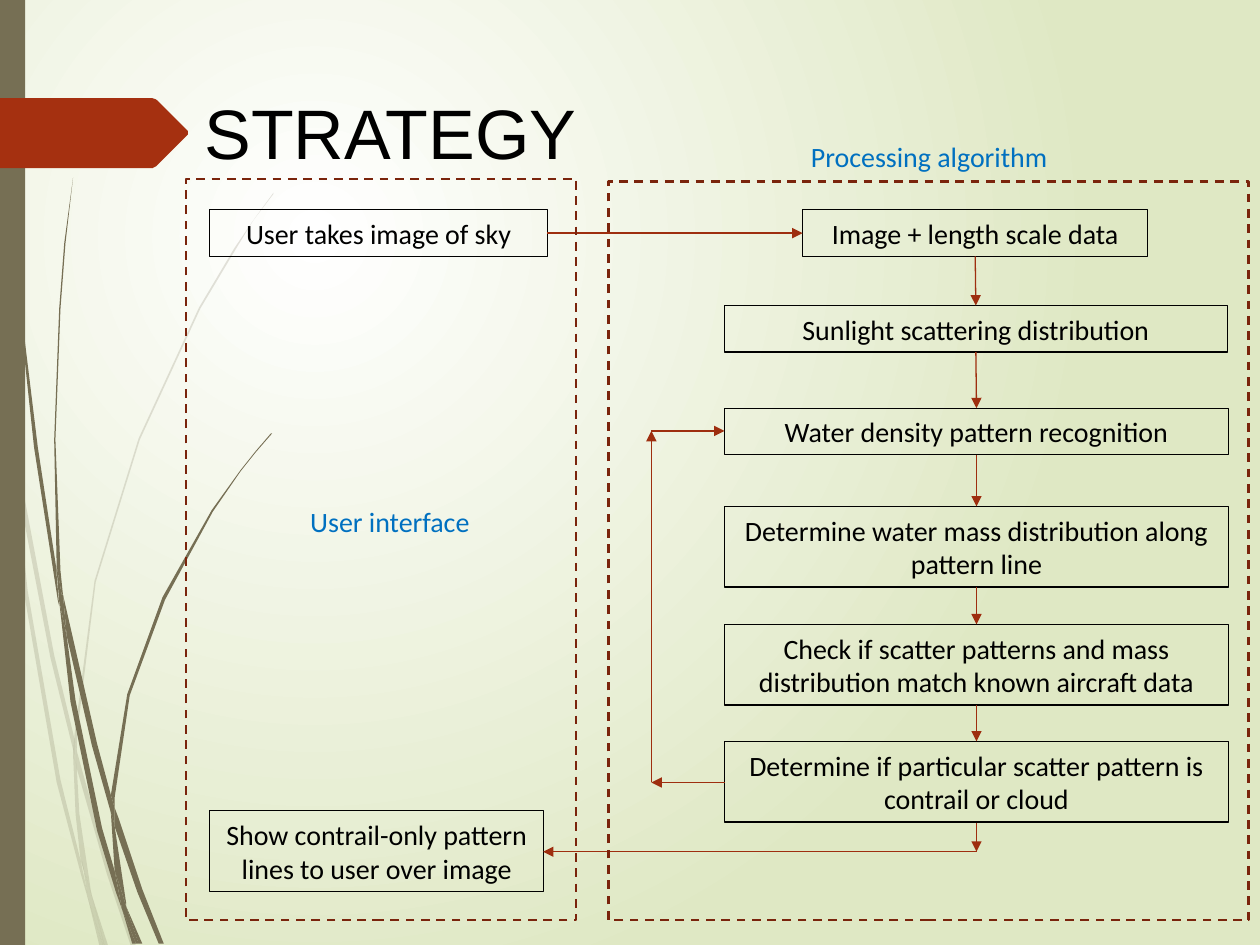
from itertools import pairwise

from lxml import etree
from pptx import Presentation
from pptx.dml.color import RGBColor
from pptx.enum.dml import MSO_LINE
from pptx.enum.shapes import MSO_CONNECTOR, MSO_SHAPE
from pptx.enum.text import MSO_ANCHOR, PP_ALIGN
from pptx.oxml import parse_xml
from pptx.oxml.ns import qn
from pptx.util import Inches, Pt

RECT, STRAIGHT, DASH = MSO_SHAPE.RECTANGLE, MSO_CONNECTOR.STRAIGHT, MSO_LINE.DASH
LEFT, CENTER = PP_ALIGN.LEFT, PP_ALIGN.CENTER
MIDDLE, BOTTOM = MSO_ANCHOR.MIDDLE, MSO_ANCHOR.BOTTOM
SITE_TOP, SITE_LEFT, SITE_BOTTOM, SITE_RIGHT = range(4)
COLUMNS, ROWS = 100, 75
BLACK, BLUE, OLIVE = "000000", "0070C0", "766F54"
RUST, ARROW_RED, FRAME_RED = "A53010", "9E2E0F", "7A240C"

BACKDROP = """<p:bg
 xmlns:p="http://schemas.openxmlformats.org/presentationml/2006/main"
 xmlns:a="http://schemas.openxmlformats.org/drawingml/2006/main">
<p:bgPr><a:gradFill rotWithShape="1"><a:gsLst>
<a:gs pos="0"><a:srgbClr val="FFFFFF"/></a:gs>
<a:gs pos="100000"><a:srgbClr val="DFE8C4"/></a:gs></a:gsLst>
<a:path path="circle">
<a:fillToRect l="50000" t="50000" r="100000" b="100000"/>
</a:path></a:gradFill><a:effectLst/></p:bgPr></p:bg>"""


def color(value):
    return RGBColor.from_string(value)


def write(frame, words, size=16, font="Calibri", ink=BLACK, align=CENTER, anchor=MIDDLE):
    frame.word_wrap = True
    frame.vertical_anchor = anchor
    paragraph = frame.paragraphs[0]
    paragraph.alignment = align
    run = paragraph.add_run()
    run.text = words
    run.font.size, run.font.name = Pt(size), font
    run.font.color.rgb = color(ink)


class Board:
    def __init__(self, deck):
        self.slide = deck.slides.add_slide(deck.slide_layouts[6])
        self.shapes = self.slide.shapes
        self.column = deck.slide_width / COLUMNS
        self.row = deck.slide_height / ROWS
        self.slide.element.cSld.insert(0, parse_xml(BACKDROP))

    def place(self, x, y):
        return round(x * self.column), round(y * self.row)

    def finish(self, shape, fill=None, line=None, weight=0.75, dash=None):
        shape.shadow.inherit = False
        if fill:
            shape.fill.solid()
            shape.fill.fore_color.rgb = color(fill)
        else:
            shape.fill.background()
        if line:
            shape.line.color.rgb = color(line)
            shape.line.width = Pt(weight)
            if dash:
                shape.line.dash_style = dash
        else:
            shape.line.fill.background()
        return shape

    def block(self, x, y, w, h, **look):
        shape = self.shapes.add_shape(RECT, *self.place(x, y), *self.place(w, h))
        return self.finish(shape, **look)

    def box(self, words, x, y, w, h):
        shape = self.block(x, y, w, h, line=BLACK)
        write(shape.text_frame, words)
        return shape

    def label(self, words, x, y, w, h, **style):
        holder = self.shapes.add_textbox(*self.place(x, y), *self.place(w, h))
        write(holder.text_frame, words, **style)

    def outline(self, corners, fill, opacity=100, parent=None):
        first, *rest = [self.place(*corner) for corner in corners]
        builder = (parent or self.shapes).build_freeform(*first)
        builder.add_line_segments(rest, close=True)
        shape = self.finish(builder.convert_to_shape(), fill=fill)
        if opacity < 100:
            tint = shape.element.spPr.find(qn("a:solidFill"))[0]
            etree.SubElement(tint, qn("a:alpha"), val=str(opacity * 1000))

    def plant(self, blades, opacity):
        tuft = self.shapes.add_group_shape().shapes
        for blade in blades:
            self.outline(blade, OLIVE, opacity, tuft)

    def arrow(self, start=(0, 0), end=(0, 0)):
        line = self.shapes.add_connector(STRAIGHT, *self.place(*start), *self.place(*end))
        line.line.color.rgb = color(ARROW_RED)
        line.line.width = Pt(0.75)
        stroke = line.element.spPr.find(qn("a:ln"))
        etree.SubElement(stroke, qn("a:tailEnd"), type="triangle")
        etree.SubElement(line.element.spPr, qn("a:effectLst"))
        return line

    def link(self, source, source_site, target, target_site):
        line = self.arrow()
        line.begin_connect(source, source_site)
        line.end_connect(target, target_site)


FAINT_BLADES = [
    [(0.8, 35), (0.6, 32.2), (0, 28.2), (0, 29.9), (0.7, 34.4)],
    [(4, 52.2), (5.9, 59.9), (5.9, 58.6), (4.3, 52), (1, 34.5), (1.2, 37.6)],
    [(6.4, 60.7), (6.1, 59.6), (6.1, 61), (8.5, 69.4), (10.4, 75.1), (10.8, 75.1), (8.8, 69.2)],
    [(8.3, 75.1), (8.6, 75.1), (7.3, 71.1)],
    [(6.4, 68.3), (4.8, 61.9), (2.2, 46.9), (1.2, 37.6), (0.8, 35), (1.9, 47), (4.5, 62.1),
     (6.4, 69.3), (7, 71.4), (6.9, 70.7)],
    [(5.8, 59.9), (6, 64.6), (6.4, 68.3), (6.7, 69.2), (7.3, 71.1), (7.2, 70.6), (6.3, 64.6),
     (6.1, 61), (6.1, 60.8)],
    [(6.1, 58.4), (7.6, 46.2), (11.1, 34.9), (15.9, 24.5), (18.7, 19.8), (20.1, 17.5),
     (21.7, 15.4), (21.7, 15.3), (20.1, 17.5), (18.6, 19.7), (15.8, 24.4), (11, 34.8),
     (7.5, 46.1), (5.9, 58.4), (5.9, 58.6), (6.1, 59.6)],
    [(7, 71.4), (7.9, 75.1), (8.2, 75.1)],
    [(6.1, 60.8), (6.1, 61), (6.1, 59.6), (5.9, 58.6), (5.8, 59.9)],
    [(6.7, 69.2), (6.5, 68.3), (6.9, 70.7), (7, 71.4), (8.2, 75.1), (8.3, 75.1), (7.3, 71.1)],
]
STRONG_BLADES = [
    [(0.5, 11), (1.4, 23.3), (2.7, 35.5), (4.6, 47.7), (4.7, 48.1), (4.5, 45.7), (4.5, 45.3),
     (3, 35.5), (1.5, 23.2), (0.6, 10.9), (0.4, 4.8), (0.3, 0), (0.2, 0), (0.3, 4.8)],
    [(7.3, 59.2), (8.8, 64.5), (8.8, 63.3), (8.8, 63.1), (7.7, 59), (5, 47.2), (5.3, 50.5)],
    [(9.4, 64.9), (9.1, 64.1), (9.1, 65.6), (10.9, 70.8), (12.6, 74.9), (13, 74.9), (11.3, 70.6)],
    [(9.1, 69.1), (8.1, 65.7), (6, 55.6), (5.3, 50.5), (4.7, 47.7), (5.6, 55.7), (7.7, 65.9),
     (9.2, 70.8), (9.7, 72.2), (9.6, 71.7)],
    [(5, 47.2), (4.8, 45.3), (4.4, 34.9), (4.8, 24.5), (5.2, 19.3), (5.8, 14.1), (5.1, 19.3),
     (4.7, 24.5), (4.3, 34.9), (4.5, 44.9), (4.9, 47.2)],
    [(11, 74.9), (11.3, 74.9), (10, 71.9)],
    [(4.7, 47.7), (5.3, 50.5), (5, 47.2), (4.9, 47.2), (4.5, 44.9), (4.5, 45.3)],
    [(9.1, 63.3), (10.3, 55.2), (13.1, 47.6), (16.9, 40.6), (19.1, 37.4), (20.3, 35.9),
     (21.6, 34.4), (21.5, 34.4), (20.3, 35.8), (19.1, 37.3), (16.8, 40.5), (12.9, 47.4),
     (10.1, 55.1), (8.8, 63.1), (9.1, 64.1)],
    [(9.7, 72.2), (10.5, 74.9), (10.8, 74.9)],
    [(8.8, 64.5), (9.1, 69.1), (9.6, 70.6), (10, 71.9), (10, 71.6), (9.1, 65.6), (9, 65.1)],
    [(8.8, 64.5), (9, 65.1), (9.1, 65.6), (9.1, 64.1), (8.8, 63.1), (8.8, 63.3)],
    [(9.6, 70.6), (9.1, 69.1), (9.6, 71.7), (9.7, 72.2), (10.8, 74.9), (11, 74.9), (10, 71.9)],
]
MARKER = [(14.9, 10.7), (12.4, 13.2), (12.1, 13.35), (0, 13.35), (0, 7.8), (12.1, 7.8),
          (12.4, 7.9), (14.9, 10.4)]
PROCESS_STEPS = [
    ("Image + length scale data", 63.7, 16.65, 27.4, 3.7),
    ("Sunlight scattering distribution", 57.5, 24.25, 39.9, 3.7),
    ("Water density pattern recognition", 57.5, 32.4, 40, 3.7),
    ("Determine water mass distribution along pattern line", 57.5, 40.2, 40, 6.4),
    ("Check if scatter patterns and mass distribution match known aircraft data",
     57.5, 49.55, 40, 6.4),
    ("Determine if particular scatter pattern is contrail or cloud", 57.5, 58.85, 40, 6.4),
]
RETRY_LOOP = [(57.5, 62.1), (51.7, 62.1), (51.7, 34.2), (57.5, 34.2)]
RESULT_PATH = [(77.5, 65.3), (77.5, 67.6), (43.1, 67.6)]

deck = Presentation()
deck.slide_width, deck.slide_height = Inches(10), Inches(7.5)
board = Board(deck)

board.plant(FAINT_BLADES, 20)
board.plant(STRONG_BLADES, 100)
board.block(0, 0, 2, 75, fill=OLIVE)
board.outline(MARKER, RUST)
board.label("STRATEGY", 15.25, 6.6, 81.7, 7.7, size=40, font="Arial", align=LEFT, anchor=BOTTOM)

capture = board.box("User takes image of sky", 16.65, 16.65, 26.8, 3.7)
steps = [board.box(*step) for step in PROCESS_STEPS]
board.link(capture, SITE_RIGHT, steps[0], SITE_LEFT)
for current, following in pairwise(steps):
    board.link(current, SITE_BOTTOM, following, SITE_TOP)
board.box("Show contrail-only pattern lines to user over image", 16.65, 64.35, 26.5, 6.4)
for route in (RETRY_LOOP, RESULT_PATH):
    for start, end in pairwise(route):
        board.arrow(start, end)

board.block(48.3, 14.4, 50.8, 58.65, line=FRAME_RED, weight=1.25, dash=DASH)
board.label("Processing algorithm", 61.25, 10.55, 25, 3.7, ink=BLUE)
board.block(14.75, 14.2, 31, 58.85, line=FRAME_RED, weight=1.25, dash=DASH)
board.label("User interface", 18.45, 39.5, 25, 3.7, ink=BLUE)

deck.save("out.pptx")
